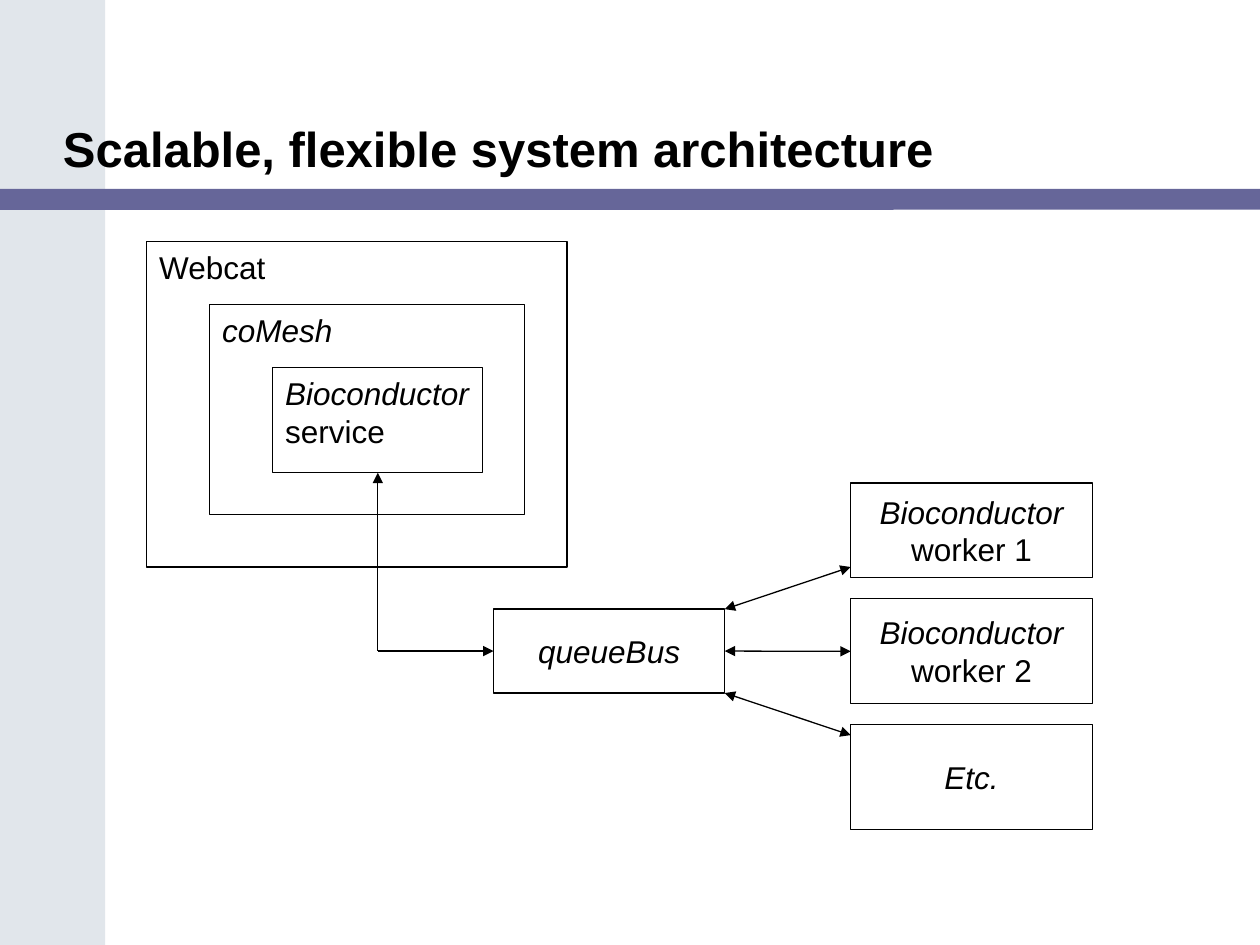
from lxml import etree
from pptx import Presentation
from pptx.dml.color import RGBColor
from pptx.enum.shapes import MSO_CONNECTOR, MSO_SHAPE
from pptx.enum.text import MSO_ANCHOR, PP_ALIGN
from pptx.oxml.ns import qn
from pptx.util import Cm, Pt

STRAIGHT = MSO_CONNECTOR.STRAIGHT
RECTANGLE, ROUNDED = MSO_SHAPE.RECTANGLE, MSO_SHAPE.ROUNDED_RECTANGLE
TOP, MIDDLE, BOTTOM = MSO_ANCHOR.TOP, MSO_ANCHOR.MIDDLE, MSO_ANCHOR.BOTTOM
LEFT, CENTER = PP_ALIGN.LEFT, PP_ALIGN.CENTER
LEFT_SITE, BOTTOM_SITE, RIGHT_SITE = 1, 2, 3
BLACK, WHITE, PALE, PURPLE = "000000", "FFFFFF", "E1E6EB", "666699"
TITLE_FONT = {"name": "Arial", "size": Pt(28), "bold": True}
PLAIN = {"name": "Arial", "size": Pt(18), "italic": False}
ITALIC = {**PLAIN, "italic": True}


def set_color(color_format, value):
    """Apply a hex colour to a colour format."""
    color_format.rgb = RGBColor.from_string(value)


def set_attributes(target, values):
    """Set each named attribute of the target."""
    for name, value in values.items():
        setattr(target, name, value)


def write_lines(shape, lines, frame_format, paragraph_format):
    """Write one paragraph for each pair of text and font format."""
    frame = shape.text_frame
    set_attributes(frame, frame_format)
    for index, (text, font_format) in enumerate(lines):
        paragraph = frame.add_paragraph() if index else frame.paragraphs[0]
        set_attributes(paragraph, paragraph_format)
        run = paragraph.add_run()
        run.text = text
        set_attributes(run.font, font_format)
        set_color(run.font.color, BLACK)


def add_block(slide, box, fill, kind=RECTANGLE):
    """Add a filled shape without outline or shadow."""
    shape = slide.shapes.add_shape(kind, *(Cm(length) for length in box))
    shape.shadow.inherit = False
    shape.fill.solid()
    set_color(shape.fill.fore_color, fill)
    shape.line.fill.background()
    return shape


def add_box(slide, box, lines, anchor=MIDDLE, alignment=CENTER):
    """Add an outlined white box with its label."""
    shape = add_block(slide, box, WHITE)
    shape.line.width = Pt(0.75)
    set_color(shape.line.color, BLACK)
    frame_format = {"word_wrap": False, "vertical_anchor": anchor}
    write_lines(shape, lines, frame_format, {"alignment": alignment})
    return shape


def add_arrow(slide, start, end, heads=("headEnd", "tailEnd"), begin=None, finish=None):
    """Add a straight connector with arrowheads, joined where sites are given."""
    points = (Cm(length) for length in (*start, *end))
    connector = slide.shapes.add_connector(STRAIGHT, *points)
    if begin:
        connector.begin_connect(*begin)
    if finish:
        connector.end_connect(*finish)
    connector.line.width = Pt(0.75)
    set_color(connector.line.color, BLACK)
    line = connector.line._get_or_add_ln()
    for head in heads:
        etree.SubElement(line, qn(f"a:{head}"), type="triangle")
    etree.SubElement(connector._element.spPr, qn("a:effectLst"))


def add_heading(slide, box):
    """Place the side band, the rule and the title in the slide box."""
    left, top, width, height = box
    add_block(slide, (left, top, 2.12, height), PALE)
    rule = add_block(slide, (left, top + 3.81, width, 0.42), PURPLE, ROUNDED)
    rule.adjustments[0] = 0.01
    title_box = (left + 1.27, top + 0.42, 23.07, 3.18)
    title = slide.shapes.add_textbox(*(Cm(length) for length in title_box))
    margins = dict.fromkeys(
        ("margin_left", "margin_top", "margin_right", "margin_bottom"), 0)
    write_lines(title, [("Scalable, flexible system architecture", TITLE_FONT)],
                {"word_wrap": True, "vertical_anchor": BOTTOM, **margins},
                {"line_spacing": 0.9})


def add_server(slide, box):
    """Place the nested server boxes and return the innermost one."""
    left, top, width, height = box
    step = 1.27
    layers = [
        (width, height, [("Webcat", PLAIN)]),
        (6.35, 4.23, [("coMesh", ITALIC)]),
        (4.23, 2.12, [("Bioconductor", ITALIC), ("service", PLAIN)]),
    ]
    for level, (layer_width, layer_height, lines) in enumerate(layers):
        layer_box = (left + level * step, top + level * step, layer_width, layer_height)
        service = add_box(slide, layer_box, lines, TOP, LEFT)
    return service


def add_workers(slide, box):
    """Stack the worker boxes downward and return them."""
    left, top, width, height = box
    gap = 0.42
    stack = [
        (1.91, [("Bioconductor", ITALIC), ("worker 1", PLAIN)]),
        (2.12, [("Bioconductor", ITALIC), ("worker 2", PLAIN)]),
        (height - 1.91 - 2.12 - 2 * gap, [("Etc.", ITALIC)]),
    ]
    workers = []
    for worker_height, lines in stack:
        workers.append(add_box(slide, (left, top, width, worker_height), lines))
        top += worker_height + gap
    return workers


def add_broker(slide, box, service, workers):
    """Place the broker and link it to the service and the workers."""
    left, top, width, height = box
    right, bottom, middle = left + width, top + height, top + height / 2
    worker_left, rise = right + 2.54, 0.85
    broker = add_box(slide, box, [("queueBus", ITALIC)])
    corner = ((service.left + service.width / 2) / Cm(1), middle)
    service_bottom = (corner[0], (service.top + service.height) / Cm(1))
    add_arrow(slide, service_bottom, corner, ["headEnd"], begin=(service, BOTTOM_SITE))
    add_arrow(slide, corner, (left, middle), ["tailEnd"], finish=(broker, LEFT_SITE))
    add_arrow(slide, (right, top), (worker_left, top - rise))
    add_arrow(slide, (right, middle), (worker_left, middle),
              begin=(broker, RIGHT_SITE), finish=(workers[1], LEFT_SITE))
    add_arrow(slide, (right, bottom), (worker_left, bottom + rise))


def main():
    """Build and save the architecture slide."""
    presentation = Presentation()
    set_attributes(presentation, {"slide_width": Cm(25.4), "slide_height": Cm(19.05)})
    slide = presentation.slides.add_slide(presentation.slide_layouts[6])
    add_heading(slide, (0, 0, 25.4, 19.05))
    service = add_server(slide, (2.96, 4.87, 8.47, 6.56))
    workers = add_workers(slide, (17.15, 9.74, 4.87, 6.99))
    add_broker(slide, (9.95, 12.28, 4.66, 1.69), service, workers)
    presentation.save("out.pptx")


if __name__ == "__main__":
    main()
